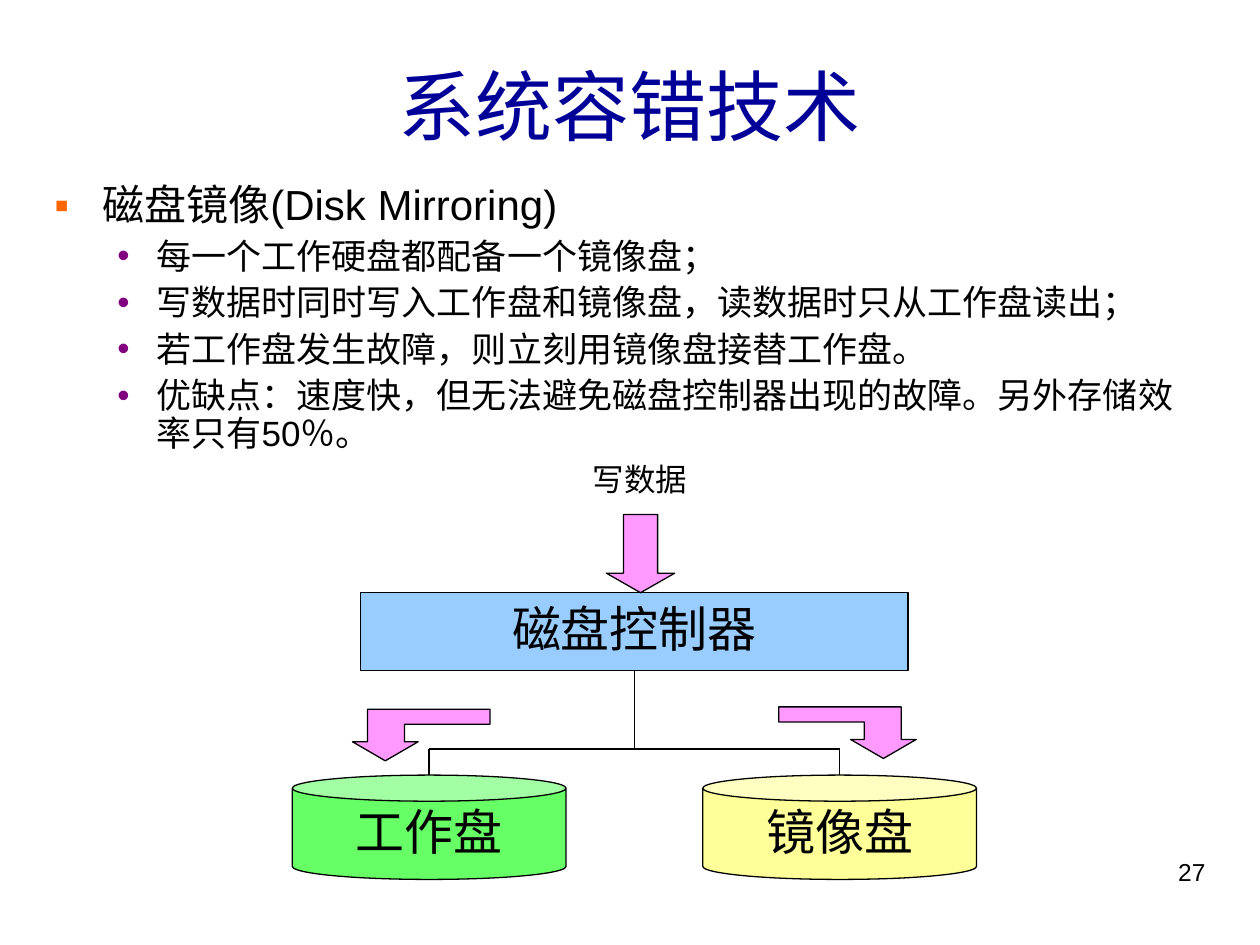
from dataclasses import dataclass

from lxml import etree
from pptx import Presentation
from pptx import util as u
from pptx.dml.color import RGBColor
from pptx.enum import shapes, text
from pptx.oxml.ns import qn

COLORS = {
    "black": "000000", "title": "000099", "square": "FF6600", "dot": "800080",
    "controller": "99CCFF", "work": "66FF66", "mirror": "FFFF99", "arrow": "FF99FF",
}


@dataclass
class Grid:
    left: float
    top: float
    col: float
    row: float

    def point(self, x, y):
        return u.Inches(self.left + x * self.col), u.Inches(self.top + y * self.row)

    def box(self, x, y, w, h):
        return *self.point(x, y), u.Inches(w * self.col), u.Inches(h * self.row)


PAGE = Grid(0, 0, 10 / 120, 7.5 / 90)
DIAGRAM = Grid(2.32, 3.67, 5.43 / 10, 3.31 / 16)


def rgb(name):
    return RGBColor.from_string(COLORS[name])


class SlideStyle:
    def __init__(self, slide):
        self.shapes = slide.shapes

    def format(self, paragraph, size, font, color="black", align=text.PP_ALIGN.CENTER):
        paragraph.alignment = align
        for run in paragraph.runs:
            run.font.size = u.Pt(size)
            run.font.name = font
            run.font.color.rgb = rgb(color)

    def textbox(self, grid, box, words, size, font="Arial", color="black",
                align=text.PP_ALIGN.CENTER, anchor=text.MSO_ANCHOR.TOP, margin=True):
        frame = self.shapes.add_textbox(*grid.box(*box)).text_frame
        frame.word_wrap = True
        frame.vertical_anchor = anchor
        if not margin:
            frame.margin_left = frame.margin_right = frame.margin_top = frame.margin_bottom = 0
        frame.text = words
        for paragraph in frame.paragraphs:
            self.format(paragraph, size, font, color, align)
        return frame

    def bullet(self, paragraph, char, color, left, hang):
        props = paragraph._p.get_or_add_pPr()
        props.set("marL", str(u.Inches(left)))
        props.set("indent", str(-u.Inches(hang)))
        tint = etree.SubElement(props, qn("a:buClr"))
        etree.SubElement(tint, qn("a:srgbClr"), val=COLORS[color])
        etree.SubElement(props, qn("a:buFont"), typeface="Arial")
        etree.SubElement(props, qn("a:buChar"), char=char)

    def outline(self, shape, fill):
        shape.shadow.inherit = False
        shape.fill.solid()
        shape.fill.fore_color.rgb = rgb(fill)
        shape.line.color.rgb = rgb("black")
        shape.line.width = u.Pt(0.75)

    def block(self, kind, box, fill, words="", margin=0.0):
        shape = self.shapes.add_shape(kind, *DIAGRAM.box(*box))
        self.outline(shape, fill)
        if words:
            frame = shape.text_frame
            frame.margin_left = frame.margin_right = 0
            frame.margin_top = frame.margin_bottom = u.Inches(margin)
            frame.vertical_anchor = text.MSO_ANCHOR.TOP
            frame.text = words
            self.format(frame.paragraphs[0], 28, "Times New Roman")
        return shape

    def line(self, start, end):
        link = self.shapes.add_connector(
            shapes.MSO_CONNECTOR.STRAIGHT, *DIAGRAM.point(*start), *DIAGRAM.point(*end))
        link.line.color.rgb = rgb("black")
        link.line.width = u.Pt(0.75)
        etree.SubElement(link._element.spPr, qn("a:effectLst"))
        return link

    def bent_arrow(self, tip_x, tip_y, side):
        offsets = [(0, 0), (0.48, -0.73), (0.28, -0.73), (0.28, -1.4), (1.53, -1.4),
                   (1.53, -1.98), (-0.26, -1.98), (-0.26, -0.73), (-0.48, -0.73)]
        points = [DIAGRAM.point(tip_x + side * x, tip_y + y) for x, y in offsets]
        builder = self.shapes.build_freeform(*points[0], scale=1.0)
        builder.add_line_segments(points[1:], close=True)
        self.outline(builder.convert_to_shape(), "arrow")


def main():
    deck = Presentation()
    deck.slide_width, deck.slide_height = u.Inches(10), u.Inches(7.5)
    style = SlideStyle(deck.slides.add_slide(deck.slide_layouts[6]))

    style.textbox(PAGE, (86, 81, 30, 6.24), "27", 14, align=text.PP_ALIGN.RIGHT)
    style.textbox(PAGE, (4, 5, 112, 10), "系统容错技术", 44, color="title",
                  anchor=text.MSO_ANCHOR.MIDDLE)

    topic = "磁盘镜像(Disk Mirroring)"
    details = [
        "每一个工作硬盘都配备一个镜像盘；",
        "写数据时同时写入工作盘和镜像盘，读数据时只从工作盘读出；",
        "若工作盘发生故障，则立刻用镜像盘接替工作盘。",
        "优缺点：速度快，但无法避免磁盘控制器出现的故障。另外存储效率只有50％。",
    ]
    body = style.textbox(PAGE, (4, 17, 112, 28), "\n".join([topic, *details]), 20,
                         align=text.PP_ALIGN.LEFT)
    heading, *points = body.paragraphs
    heading.line_spacing = 0.9
    heading.runs[0].font.size = u.Pt(24)
    style.bullet(heading, "▪", "square", 0.38, 0.38)
    for point in points:
        point.level = 1
        point.line_spacing = 0.9
        point.space_before = u.Pt(5)
        style.bullet(point, "•", "dot", 0.81, 0.31)

    controller = style.block(shapes.MSO_SHAPE.RECTANGLE, (1, 5, 8, 3), "controller",
                             "磁盘控制器", 0.05)
    trunk = style.line((5, 8), (5, 11))
    trunk.begin_connect(controller, 2)
    style.line((2, 11), (8, 11))

    disks = [(2, "work", "工作盘", 1.36, 11.45, 1), (8, "mirror", "镜像盘", 8.64, 11.36, -1)]
    for center, fill, name, tip_x, tip_y, side in disks:
        style.block(shapes.MSO_SHAPE.CAN, (center - 2, 12, 4, 4), fill, name)
        style.line((center, 11), (center, 12))
        style.bent_arrow(tip_x, tip_y, side)

    write_label = style.textbox(DIAGRAM, (3.08, 0, 4, 1.45), "写数据", 18,
                                "Times New Roman", margin=False)
    write_label.paragraphs[0].line_spacing = 0.96
    write_arrow = style.block(shapes.MSO_SHAPE.DOWN_ARROW, (4.59, 2, 1, 3), "arrow")
    write_arrow.adjustments[1] = 0.285

    deck.save("out.pptx")


if __name__ == "__main__":
    main()
